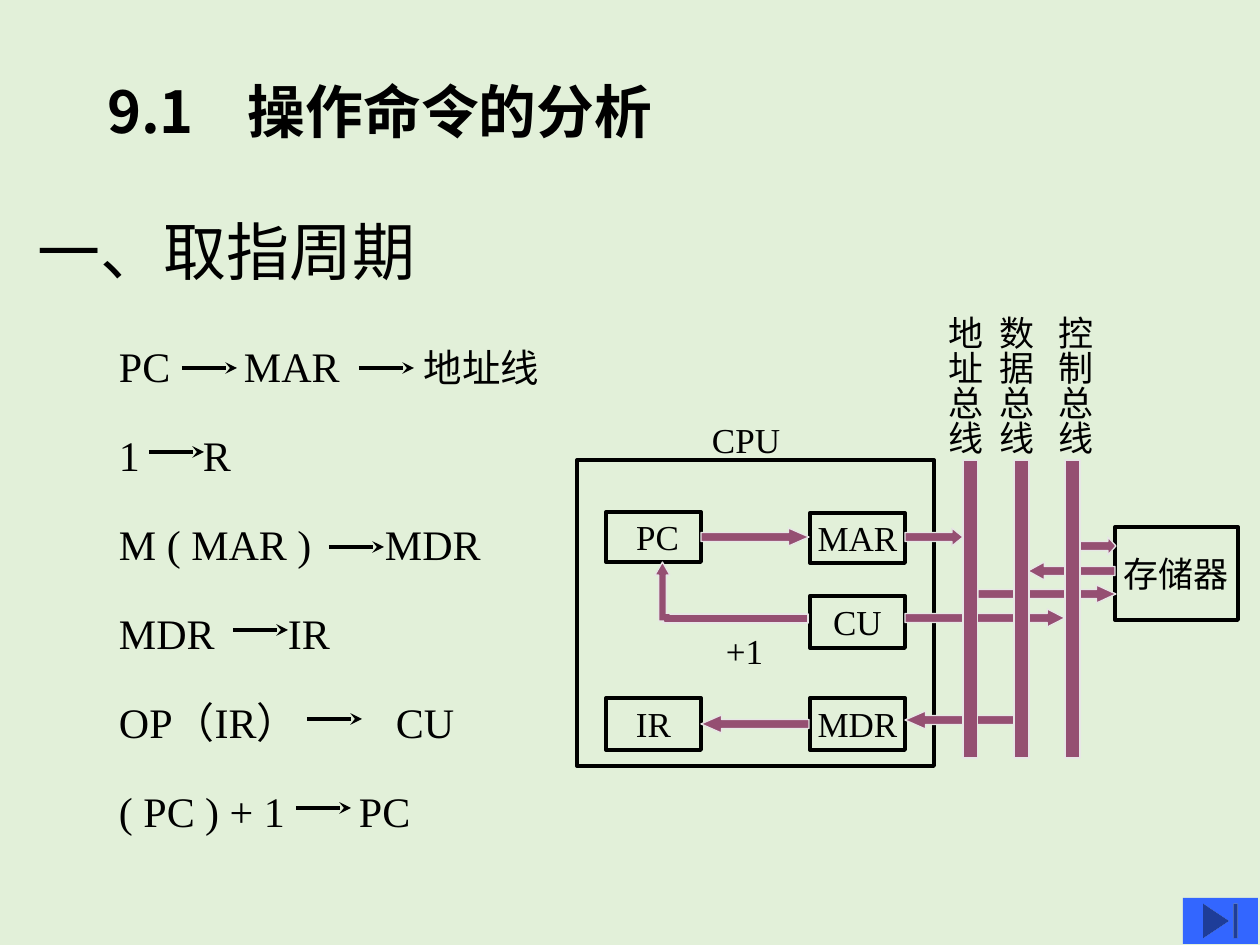
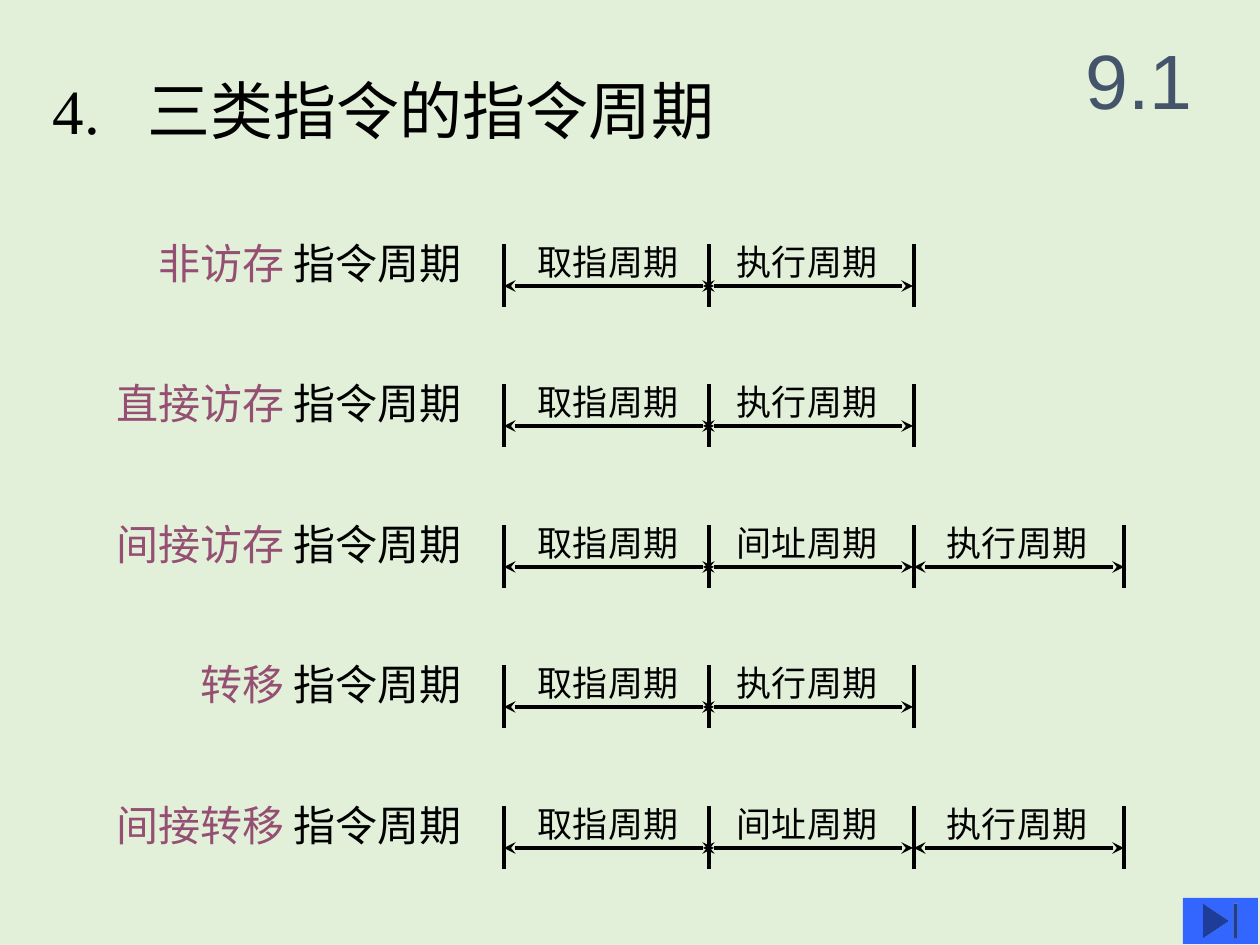
from lxml import etree
from pptx import Presentation, util as u
from pptx.dml.color import RGBColor
from pptx.enum import shapes, text
from pptx.oxml.ns import qn

PX = u.Inches(1) // 126
INK, PLUM, EDGE, SLATE = "000000", "954F72", "E7E6E6", "44546A"
PAPER, BUTTON = "E2F0D9", "3366FF"
SERIF, CJK = "Times New Roman", "Noto Sans CJK SC"
LEFT, CENTER, RIGHT = text.PP_ALIGN.LEFT, text.PP_ALIGN.CENTER, text.PP_ALIGN.RIGHT
Shape = shapes.MSO_SHAPE
rgb = RGBColor.from_string


def write(target, box, runs, align=LEFT, stops=(), font=SERIF, bold=False):
    target.left, target.top, target.width, target.height = [n * PX for n in box]
    frame = target.text_frame
    frame.word_wrap = True
    frame.auto_size = text.MSO_AUTO_SIZE.NONE
    frame.vertical_anchor = text.MSO_ANCHOR.MIDDLE
    frame.margin_left = frame.margin_right = frame.margin_top = frame.margin_bottom = 0
    line = frame.paragraphs[0]
    line.alignment = align
    if stops:
        tabs = etree.SubElement(line._p.get_or_add_pPr(), qn("a:tabLst"))
        for stop in stops:
            etree.SubElement(tabs, qn("a:tab"), pos=str((stop - box[0]) * PX), algn="l")
    for words, size, colour in runs:
        run = line.add_run()
        run.text = words
        run.font.size = u.Pt(size)
        run.font.bold = bold
        run.font.color.rgb = rgb(colour)
        run.font.name = font
        etree.SubElement(run._r.get_or_add_rPr(), qn("a:ea"), typeface=CJK)


def rule(slide, x1, y1, x2, y2, *ends):
    line = slide.shapes.add_connector(
        shapes.MSO_CONNECTOR.STRAIGHT, x1 * PX, y1 * PX, x2 * PX, y2 * PX)
    line.line.color.rgb = rgb(INK)
    line.line.width = u.Pt(2.25)
    for end in ends:
        etree.SubElement(line.line._get_or_add_ln(), qn(f"a:{end}"), type="stealth")
    etree.SubElement(line._element.spPr, qn("a:effectLst"))


prs = Presentation()
prs.slide_width, prs.slide_height = u.Inches(10), u.Inches(7.5)
paper = prs.slide_master.background.fill
paper.solid()
paper.fore_color.rgb = rgb(PAPER)
title_only = prs.slide_layouts[5]

fetch = prs.slides.add_slide(title_only)
write(fetch.shapes.title, (107, 31, 1060, 158), [("9.1\t操作命令的分析", 33, INK)],
      stops=[248], font=CJK, bold=True)
write(fetch.shapes.add_textbox(0, 0, 0, 0), (37, 205, 560, 90), [("一、取指周期", 36, INK)])

steps = [
    ([("PC\tMAR\t", 24, INK), ("地址线", 22, INK)], [244, 424], [182, 359], 368),
    ([("1\tR", 24, INK)], [203], [149], 452),
    ([("M ( MAR )\tMDR", 24, INK)], [385], [329], 547),
    ([("MDR\tIR", 24, INK)], [288], [233], 630),
    ([("OP（IR）\tCU", 24, INK)], [396], [307], 719),
    ([("( PC ) + 1\tPC", 24, INK)], [359], [296], 808),
]
for i, (runs, stops, arrow_starts, arrow_y) in enumerate(steps):
    write(fetch.shapes.add_textbox(0, 0, 0, 0), (119, 336 + 89 * i, 595, 60), runs, stops=stops)
    for x in arrow_starts:
        rule(fetch, x, arrow_y, x + 55, arrow_y, "tailEnd")

nodes = [
    ("", 577, 460, 357, 306),
    ("PC", 606, 512, 95, 50),
    ("MAR", 810, 513, 95, 50),
    ("CU", 810, 596, 95, 52),
    ("IR", 606, 698, 95, 52),
    ("MDR", 810, 698, 95, 52),
    ("存储器", 1115, 527, 123, 93),
]
for name, *box in nodes:
    node = fetch.shapes.add_shape(Shape.RECTANGLE, *[n * PX for n in box])
    node.shadow.inherit = False
    node.fill.background()
    node.line.color.rgb = rgb(INK)
    node.line.width = u.Pt(2.25)
    if name:
        write(node, box, [(name, 20, INK)], CENTER)
        if name == "PC":
            node.text_frame.margin_left = 8 * PX

flows = [
    (Shape.RIGHT_ARROW, 905, 528, 58, 18, 0.61, EDGE),
    (Shape.RECTANGLE, 663, 614, 145, 9, None, EDGE),
    (Shape.UP_ARROW, 655, 562, 15, 59, 0.88, EDGE),
    (Shape.RECTANGLE, 665, 615, 4, 6, None, PLUM),
    (Shape.RIGHT_ARROW, 701, 528, 108, 18, 1.14, EDGE),
    (Shape.LEFT_ARROW, 905, 711, 110, 18, 1.14, EDGE),
    (Shape.RIGHT_ARROW, 905, 609, 160, 18, 0.98, EDGE),
    (Shape.RIGHT_ARROW, 978, 585, 138, 18, 1.08, EDGE),
    (Shape.LEFT_ARROW, 1028, 562, 87, 18, 0.91, EDGE),
    (Shape.RIGHT_ARROW, 1072, 537, 44, 18, 0.45, EDGE),
    (Shape.LEFT_ARROW, 701, 715, 108, 18, 1.14, EDGE),
]
buses = [("地址总线", 963, 965), ("数据总线", 1014, 1016), ("控制总线", 1065, 1075)]
flows += [(Shape.RECTANGLE, x, 460, 15, 298, None, EDGE) for _, x, _ in buses]
for kind, x, y, w, h, head, edge in flows:
    flow = fetch.shapes.add_shape(kind, x * PX, y * PX, w * PX, h * PX)
    flow.shadow.inherit = False
    flow.fill.solid()
    flow.fill.fore_color.rgb = rgb(PLUM)
    flow.line.color.rgb = rgb(edge)
    flow.line.width = u.Pt(0.75)
    if head:
        flow.adjustments[1] = head

for name, _, middle in buses:
    bus_name = fetch.shapes.add_textbox(0, 0, 0, 0)
    write(bus_name, (middle - 25, 316, 50, 150), [(name, 20, INK)])
    bus_name.text_frame._txBody.bodyPr.set("vert", "eaVert")
for name, x, y in [("CPU", 712, 418), ("+1", 726, 629)]:
    write(fetch.shapes.add_textbox(0, 0, 0, 0), (x, y, 90, 42), [(name, 20, INK)])

cycles = prs.slides.add_slide(title_only)
write(cycles.shapes.title, (53, 73, 900, 73), [("4.\t三类指令的指令周期", 36, INK)], stops=[148])
write(cycles.shapes.add_textbox(0, 0, 0, 0), (1061, 21, 156, 116),
      [("9.1", 44, SLATE)], CENTER, font="Arial")

short = ["取指周期", "执行周期"]
long = ["取指周期", "间址周期", "执行周期"]
instructions = [("非访存", short), ("直接访存", short), ("间接访存", long),
                ("转移", short), ("间接转移", long)]
ticks = [504, 709, 914, 1124]
arrow_starts = [504, 703, 914]
phase_lefts = [538, 737, 947]
for i, (kind, phases) in enumerate(instructions):
    top = 244 + 281 * i // 2
    write(cycles.shapes.add_textbox(0, 0, 0, 0), (60, top - 11, 402, 60),
          [(kind + " ", 24, PLUM), ("指令周期", 24, INK)], RIGHT)
    for x in ticks[:len(phases) + 1]:
        rule(cycles, x, top, x, top + 63)
    for phase, x, left in zip(phases, arrow_starts, phase_lefts):
        rule(cycles, x, top + 42, x + 210, top + 42, "headEnd", "tailEnd")
        write(cycles.shapes.add_textbox(0, 0, 0, 0), (left, top - 8, 150, 52), [(phase, 20, INK)])

for slide in prs.slides:
    button = slide.shapes.add_shape(Shape.ACTION_BUTTON_END, 1183 * PX, 898 * PX, 75 * PX, 46 * PX)
    button.shadow.inherit = False
    button.fill.solid()
    button.fill.fore_color.rgb = rgb(BUTTON)
    button.line.fill.background()

prs.save("out.pptx")
